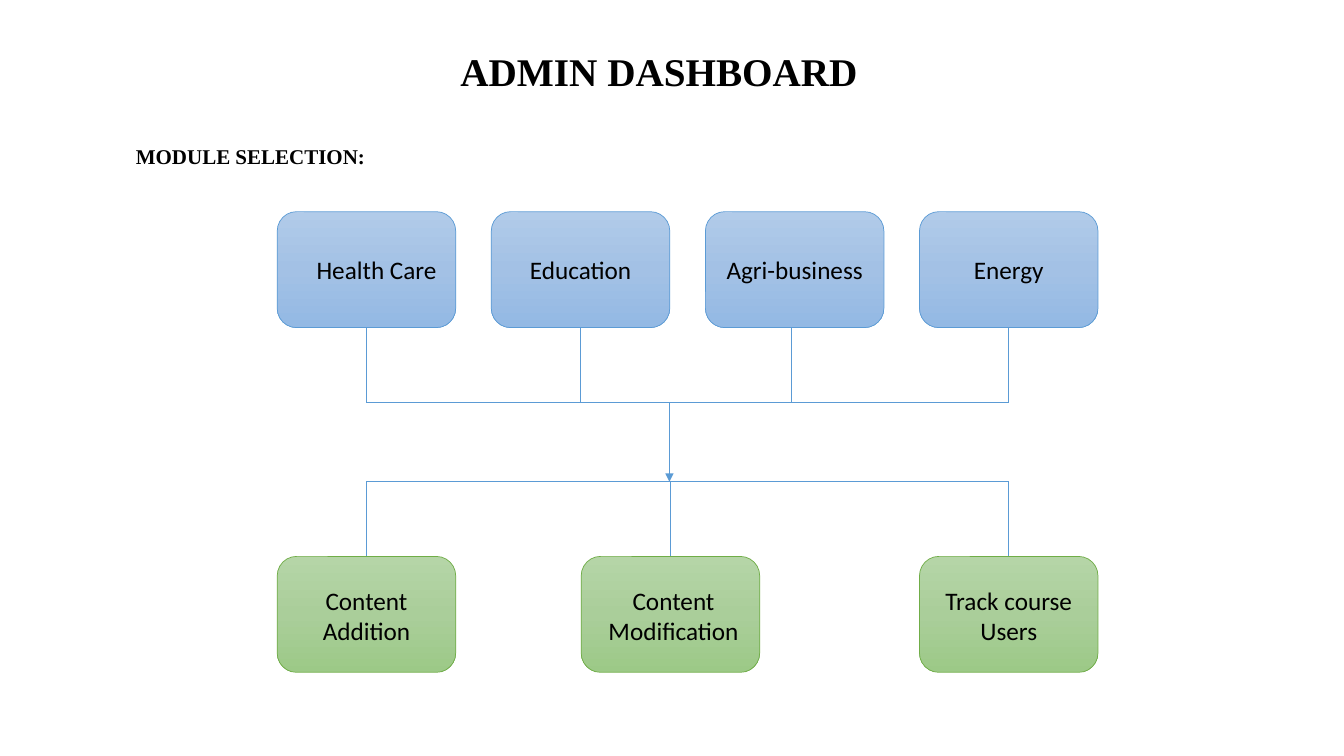
import copy
from dataclasses import dataclass

import pptx
import pptx.dml.color
import pptx.enum.dml
import pptx.enum.shapes
import pptx.enum.text
import pptx.oxml
import pptx.oxml.ns
import pptx.util

WIDTH, HEIGHT = 13.33, 7.5
FIRST_COLUMN, LAST_COLUMN = 2.75, 9.12
COLUMN = (LAST_COLUMN - FIRST_COLUMN) / 3
BOX_WIDTH, BOX_HEIGHT = 1.77, 1.15
LABEL_WIDTH = 1.58
LABEL_INSET = (BOX_WIDTH - LABEL_WIDTH) / 2
MODULE_TOP, ACTION_TOP = 2.1, 5.52
UPPER_RAIL, LOWER_RAIL = 3.99, 4.78
TRUNK = 6.64
BLUE, GREEN, BLACK = "5B9BD5", "70AD47", "000000"
BLUE_FADE = ("B1CBE9", "A3C1E5", "93B9E4")
GREEN_FADE = ("B5D5A7", "AACE9A", "9CC987")


@dataclass(frozen=True)
class Node:
    """One box of the diagram; shifts are in inches from its centred place."""
    text: str
    column: float
    label_shift: float = 0
    stem_shift: float = 0


MODULES = (
    Node("Health Care", 0, label_shift=0.1),
    Node("Education", 1),
    Node("Agri-business", 2, stem_shift=-0.03),
    Node("Energy", 3),
)
ACTIONS = (
    Node("Content Addition", 0),
    Node("Content Modification", 1.42, label_shift=0.03),
    Node("Track course\nUsers", 3),
)


def rgb(colour: str) -> pptx.dml.color.RGBColor:
    return pptx.dml.color.RGBColor.from_string(colour)


def inches(*lengths: float) -> list:
    return [pptx.util.Inches(length) for length in lengths]


def add_text(slide, text: str, left: float, top: float, width: float, height: float,
             size: float, font: str, bold: bool = False) -> None:
    frame = slide.shapes.add_textbox(*inches(left, top, width, height)).text_frame
    frame.word_wrap = True
    frame.auto_size = pptx.enum.text.MSO_AUTO_SIZE.SHAPE_TO_FIT_TEXT
    frame.text = text
    for paragraph in frame.paragraphs:
        paragraph.alignment = pptx.enum.text.PP_ALIGN.CENTER
        paragraph.font.size = pptx.util.Pt(size)
        paragraph.font.name = font
        paragraph.font.bold = bold
        paragraph.font.color.rgb = rgb(BLACK)


def fade(shape, colours: tuple[str, ...]) -> None:
    """Fill the shape with evenly spaced colours from top to bottom."""
    shape.fill.gradient()
    shape.fill.gradient_angle = 270
    stop_list = shape._element.spPr.find(".//" + pptx.oxml.ns.qn("a:gsLst"))
    while len(stop_list) < len(colours):
        stop_list.append(copy.deepcopy(stop_list[0]))
    for index, (stop, colour) in enumerate(zip(shape.fill.gradient_stops, colours)):
        stop.color.rgb = rgb(colour)
        stop.position = index / (len(colours) - 1)


def add_node(slide, node: Node, top: float, colours: tuple[str, ...], outline: str):
    left = FIRST_COLUMN + node.column * COLUMN
    box = slide.shapes.add_shape(pptx.enum.shapes.MSO_SHAPE.ROUNDED_RECTANGLE,
                                 *inches(left, top, BOX_WIDTH, BOX_HEIGHT))
    box.shadow.inherit = False
    fade(box, colours)
    box.line.color.rgb = rgb(outline)
    box.line.width = pptx.util.Pt(0.5)
    return box


def add_label(slide, node: Node, top: float, height: float) -> None:
    left = FIRST_COLUMN + node.column * COLUMN + LABEL_INSET + node.label_shift
    add_text(slide, node.text, left, top, LABEL_WIDTH, height, 18, "Calibri")


def add_line(slide, x1: float, y1: float, x2: float, y2: float, arrow: bool = False):
    line = slide.shapes.add_connector(pptx.enum.shapes.MSO_CONNECTOR.STRAIGHT,
                                      *inches(x1, y1, x2, y2))
    line.line.color.rgb = rgb(BLUE)
    line.line.width = pptx.util.Pt(0.5)
    properties = line._element.spPr
    if arrow:
        head = pptx.oxml.parse_xml(
            f'<a:tailEnd {pptx.oxml.ns.nsdecls("a")} type="triangle"/>')
        properties.find(pptx.oxml.ns.qn("a:ln")).append(head)
    properties.append(pptx.oxml.parse_xml(
        f'<a:effectLst {pptx.oxml.ns.nsdecls("a")}/>'))
    return line


def stem_x(node: Node) -> float:
    return FIRST_COLUMN + node.column * COLUMN + BOX_WIDTH / 2 + node.stem_shift


def add_rail(slide, nodes: tuple[Node, ...], y: float) -> None:
    add_line(slide, stem_x(nodes[0]), y, stem_x(nodes[-1]), y)


def main() -> None:
    deck = pptx.Presentation()
    deck.slide_width, deck.slide_height = inches(WIDTH, HEIGHT)
    slide = deck.slides.add_slide(deck.slide_layouts[6])

    add_text(slide, "ADMIN DASHBOARD", 3.57, 0.42, 5.93, 0.57,
             28, "Times New Roman", bold=True)
    add_text(slide, "MODULE SELECTION:", -0.48, 1.37, 5.93, 0.35,
             15, "Times New Roman", bold=True)

    for module in MODULES:
        box = add_node(slide, module, MODULE_TOP, BLUE_FADE, BLUE)
        x = stem_x(module)
        stem = add_line(slide, x, MODULE_TOP + BOX_HEIGHT, x, UPPER_RAIL)
        if not module.stem_shift:
            stem.begin_connect(box, 2)
        add_label(slide, module, 2.47, 0.4)

    add_rail(slide, MODULES, UPPER_RAIL)
    add_line(slide, TRUNK, UPPER_RAIL, TRUNK, LOWER_RAIL, arrow=True)
    add_rail(slide, ACTIONS, LOWER_RAIL)

    for action in ACTIONS:
        box = add_node(slide, action, ACTION_TOP, GREEN_FADE, GREEN)
        x = stem_x(action)
        add_line(slide, x, LOWER_RAIL, x, ACTION_TOP).end_connect(box, 0)
        add_label(slide, action, 5.76, 0.71)

    deck.save("out.pptx")


if __name__ == "__main__":
    main()
